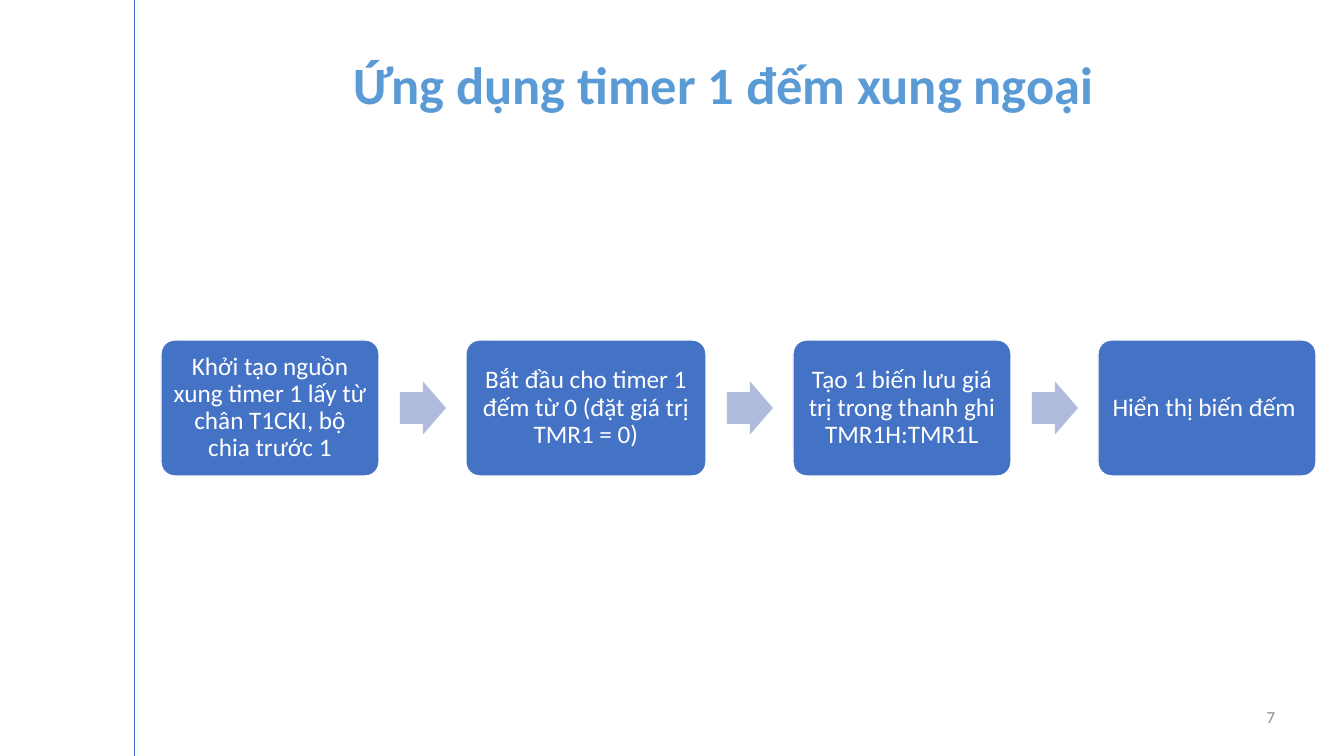
from dataclasses import dataclass

from lxml.etree import SubElement
from pptx import Presentation
from pptx.dml.color import RGBColor
from pptx.enum.shapes import MSO_CONNECTOR, MSO_SHAPE
from pptx.enum.text import MSO_ANCHOR, MSO_AUTO_SIZE, PP_ALIGN
from pptx.oxml.ns import qn
from pptx.util import Emu, Inches, Pt

PX = Inches(1) / 100.8
FONT = "Calibri"
COLORS = {
    "title": "5B9BD5",
    "box": "4472C4",
    "arrow": "B0BCDE",
    "white": "FFFFFF",
    "number": "8C8C8C",
}
LEFT, GAP = 161, 87
BOX_TOP, BOX_H = 340, 136
ARROW_W, ARROW_H = 46, 53
ARROW_OFFSET = 21


@dataclass(frozen=True)
class Step:
    """One step of the process: its text and box width."""
    text: str
    width: int = 218


STEPS = [
    Step("Khởi tạo nguồn xung timer 1 lấy từ chân T1CKI, bộ chia trước 1"),
    Step("Bắt đầu cho timer 1 đếm từ 0 (đặt giá trị TMR1 = 0)", 240),
    Step("Tạo 1 biến lưu giá trị trong thanh ghi TMR1H:TMR1L"),
    Step("Hiển thị biến đếm "),
]


def px(*values: float) -> list[Emu]:
    """Turn pixels into EMU."""
    return [Emu(round(v * PX)) for v in values]


def rgb(name: str) -> RGBColor:
    """Look up a named colour."""
    return RGBColor.from_string(COLORS[name])


def write(s, text: str, size: float, color: str, align=PP_ALIGN.CENTER,
          anchor=MSO_ANCHOR.MIDDLE, spacing: float = 1.0,
          bold: bool = False) -> None:
    """Put one formatted paragraph into a shape."""
    tf = s.text_frame
    p = tf.paragraphs[0]
    r = p.add_run()
    r.text = text
    r.font.color.rgb = rgb(color)
    formats = (
        (tf, {"word_wrap": True, "auto_size": MSO_AUTO_SIZE.NONE,
              "vertical_anchor": anchor}),
        (p, {"alignment": align, "line_spacing": spacing}),
        (r.font, {"name": FONT, "size": Pt(size), "bold": bold}),
    )
    for target, values in formats:
        for name, value in values.items():
            setattr(target, name, value)


def add_preset(sp, kind, box: tuple, fill: str, adjustments: tuple):
    """Add a filled preset shape without shadow or line."""
    s = sp.add_shape(kind, *px(*box))
    s.shadow.inherit = False
    s.fill.solid()
    s.fill.fore_color.rgb = rgb(fill)
    s.line.fill.background()
    for i, value in enumerate(adjustments):
        s.adjustments[i] = value
    return s


def add_step(sp, step: Step, left: int) -> None:
    """Add the rounded box of a step."""
    s = add_preset(sp, MSO_SHAPE.ROUNDED_RECTANGLE,
                   (left, BOX_TOP, step.width, BOX_H), "box", (0.1,))
    s.line.color.rgb = rgb("white")
    s.line.width = Pt(1)
    for side in ("left", "right", "top", "bottom"):
        setattr(s.text_frame, f"margin_{side}", px(7)[0])
    write(s, step.text, 18, "white", spacing=0.9)


def add_rule(sp, x: int, height: int) -> None:
    """Add the thin vertical line at the left."""
    s = sp.add_connector(MSO_CONNECTOR.STRAIGHT, *px(x, 0, x, height))
    s.line.color.rgb = rgb("box")
    s.line.width = Pt(0.5)
    SubElement(s._element.spPr, qn("a:effectLst"))


prs = Presentation()
prs.slide_width, prs.slide_height = px(1344, 756)
slide = prs.slides.add_slide(prs.slide_layouts[5])
sp = slide.shapes

add_rule(sp, 134, 756)

title = sp.title
title.left, title.top, title.width, title.height = px(106, 59, 1236, 59)
write(title, "Ứng dụng timer 1 đếm xung ngoại", 37.5, "title",
      anchor=MSO_ANCHOR.BOTTOM, spacing=0.7, bold=True)

number = sp.add_textbox(*px(1241, 697, 44, 40))
write(number, "7", 12, "number", align=PP_ALIGN.RIGHT)

left = LEFT
for i, step in enumerate(STEPS):
    if i:
        add_preset(sp, MSO_SHAPE.RIGHT_ARROW,
                   (left - GAP + ARROW_OFFSET, BOX_TOP + (BOX_H - ARROW_H) / 2,
                    ARROW_W, ARROW_H), "arrow", (0.6, 0.5))
    add_step(sp, step, left)
    left += step.width + GAP

prs.save("out.pptx")
